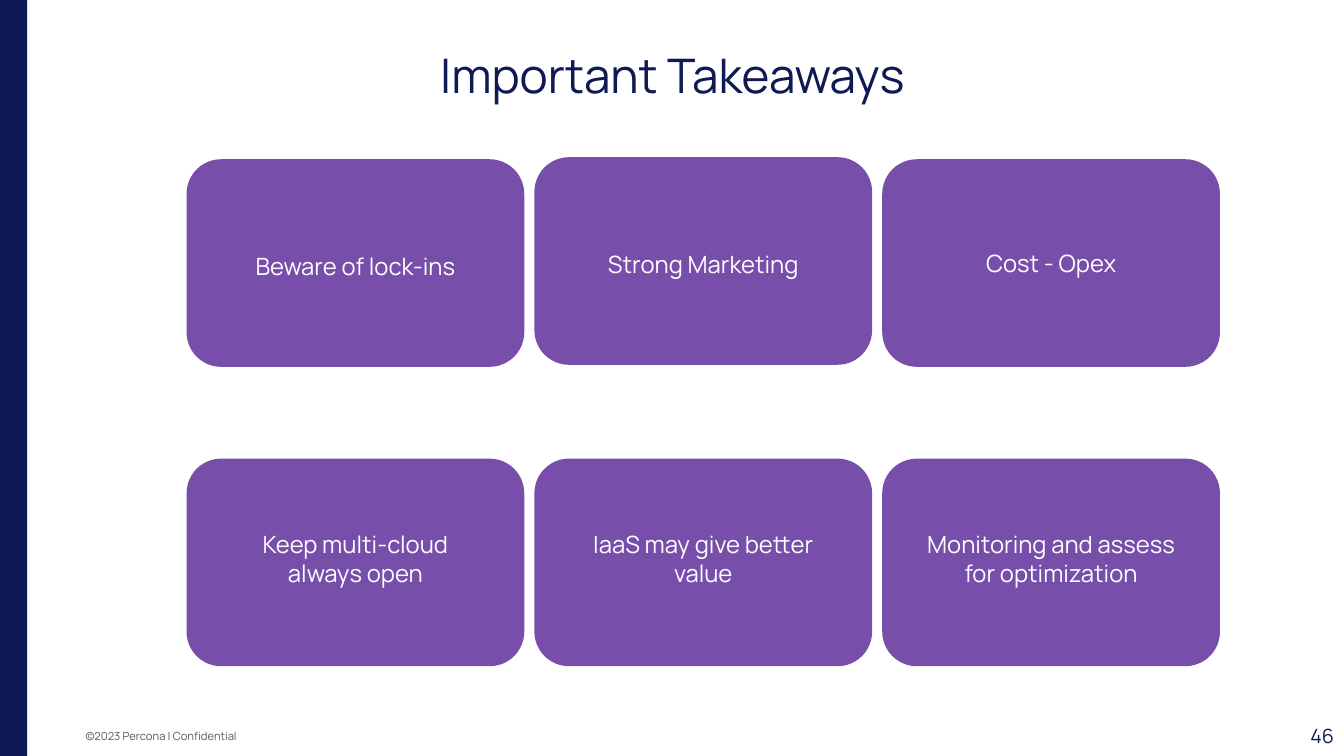
from dataclasses import dataclass

from pptx import Presentation
from pptx.dml.color import RGBColor
from pptx.enum.shapes import MSO_SHAPE
from pptx.enum.text import MSO_ANCHOR as Anchor, MSO_AUTO_SIZE as AutoSize, PP_ALIGN as Align
from pptx.util import Inches, Pt


@dataclass(frozen=True)
class Theme:
    font: str = "Manrope"
    navy: str = "0E1A53"
    purple: str = "774FAA"
    grey: str = "595959"
    white: str = "FFFFFF"
    title_size: int = 34
    card_size: int = 17
    number_size: int = 14
    footer_size: int = 8


THEME = Theme()

# Cards by row: text, card top, label offset from card top, label height, anchor
CARD_ROWS = [
    [("Beware of lock-ins", 1.58, 0.82, 0.49, Anchor.TOP),
     ("Strong Marketing", 1.56, 0.82, 0.49, Anchor.TOP),
     ("Cost - Opex", 1.58, 0.61, 0.84, Anchor.MIDDLE)],
    [("Keep multi-cloud always open", 4.55, 0.61, 0.77, Anchor.TOP),
     ("IaaS may give better value", 4.55, 0.61, 0.77, Anchor.TOP),
     ("Monitoring and assess for optimization", 4.55, 0.61, 1.06, Anchor.TOP)],
]
CARD_WIDTH, CARD_HEIGHT, CARD_GAP = 3.35, 2.06, 0.1
LABEL_WIDTH = 2.78


def place(part, box):
    part.left, part.top, part.width, part.height = (Inches(length) for length in box)


def write(part, text, *, size, color, align=Align.LEFT, anchor=Anchor.MIDDLE,
          inset=0.1, line_spacing=None, grow=False):
    frame = part.text_frame
    frame.word_wrap = True
    frame.auto_size = AutoSize.SHAPE_TO_FIT_TEXT if grow else AutoSize.NONE
    frame.vertical_anchor = anchor
    frame.margin_left = frame.margin_right = Inches(0.1)
    frame.margin_top = frame.margin_bottom = Inches(inset)
    paragraph = frame.paragraphs[0]
    paragraph.alignment = align
    if line_spacing:
        paragraph.line_spacing = line_spacing
    run = paragraph.add_run()
    run.text = text
    run.font.name = THEME.font
    run.font.size = Pt(size)
    run.font.color.rgb = RGBColor.from_string(color)


def add_text(slide, box, text, **text_format):
    write(slide.shapes.add_textbox(*map(Inches, box)), text, **text_format)


def add_block(slide, preset, box, color):
    block = slide.shapes.add_shape(preset, *map(Inches, box))
    block.shadow.inherit = False
    block.fill.solid()
    block.fill.fore_color.rgb = RGBColor.from_string(color)
    block.line.fill.background()


def add_frame(slide, width, height):
    # Footer, side bar and page number
    add_text(slide, (0.75, height - 0.34, 4.87, 0.29), "©2023 Percona | Confidential",
             size=THEME.footer_size, color=THEME.grey)
    add_block(slide, MSO_SHAPE.RECTANGLE, (-0.07, -0.08, 0.34, height + 0.17), THEME.navy)
    add_text(slide, (width - 1.67, height - 0.4, 1.67, 0.4), "46",
             size=THEME.number_size, color=THEME.navy, align=Align.RIGHT, inset=0.05)


def add_title(slide, box):
    title = slide.shapes.title
    place(title, box)
    write(title, "Important Takeaways", size=THEME.title_size, color=THEME.navy,
          align=Align.CENTER, inset=0.05, line_spacing=0.9)


def add_card(slide, box, text, label_offset, label_height, anchor):
    left, top, width, _ = box
    add_block(slide, MSO_SHAPE.ROUNDED_RECTANGLE, box, THEME.purple)
    label_left = left + (width - LABEL_WIDTH) / 2
    add_text(slide, (label_left, top + label_offset, LABEL_WIDTH, label_height), text,
             size=THEME.card_size, color=THEME.white, align=Align.CENTER,
             anchor=anchor, grow=anchor == Anchor.TOP)


def add_cards(slide, left):
    for row in CARD_ROWS:
        for column, (text, top, *label) in enumerate(row):
            card_left = left + column * (CARD_WIDTH + CARD_GAP)
            add_card(slide, (card_left, top, CARD_WIDTH, CARD_HEIGHT), text, *label)


def main():
    width, height = 13.33, 7.5
    deck = Presentation()
    deck.slide_width, deck.slide_height = Inches(width), Inches(height)
    slide = deck.slides.add_slide(deck.slide_layouts.get_by_name("Title Only"))
    add_frame(slide, width, height)
    add_cards(slide, left=1.85)
    add_title(slide, (1.15, 0.3, 11.04, 0.94))
    deck.save("out.pptx")


if __name__ == "__main__":
    main()
